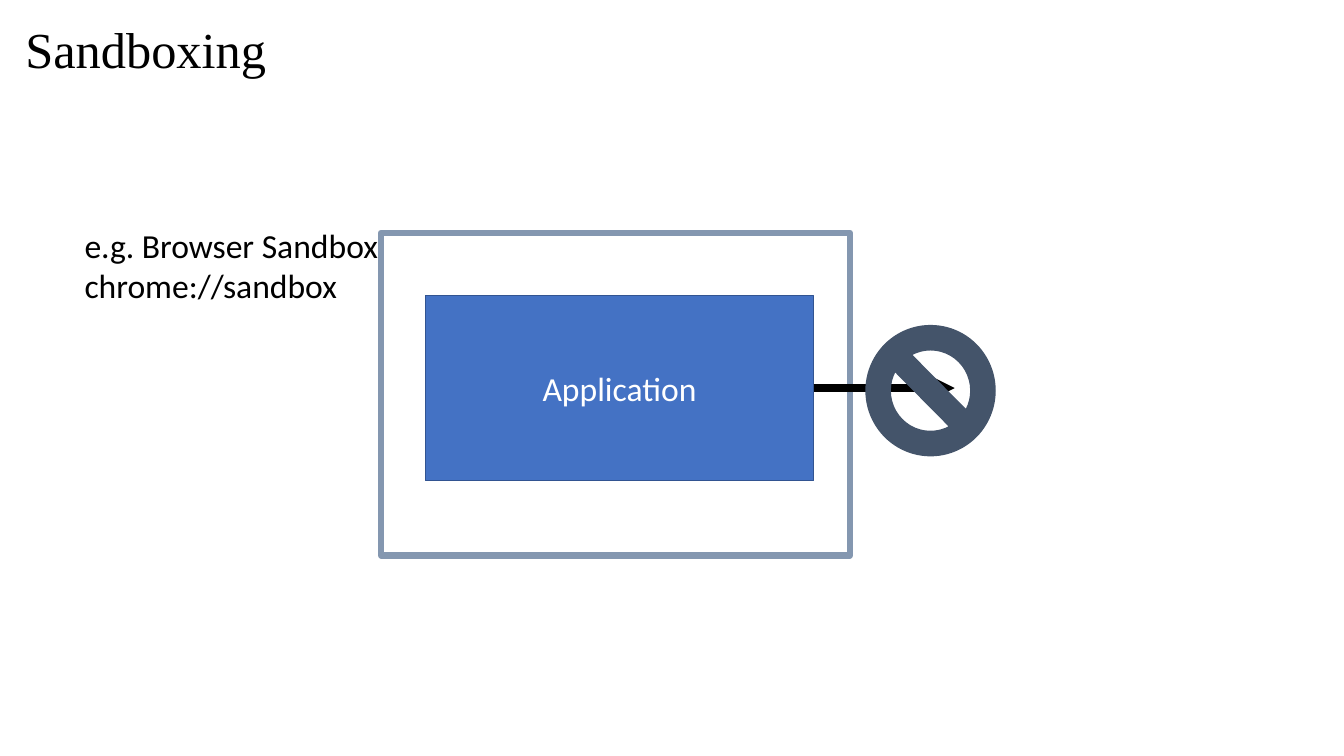
from dataclasses import dataclass

from lxml import etree
from pptx import Presentation
from pptx.dml.color import RGBColor
from pptx.enum.shapes import MSO_CONNECTOR, MSO_SHAPE
from pptx.enum.text import MSO_ANCHOR, MSO_AUTO_SIZE, PP_ALIGN
from pptx.oxml.ns import qn
from pptx.util import Inches, Pt

RECTANGLE = MSO_SHAPE.RECTANGLE
NO_SYMBOL = MSO_SHAPE.NO_SYMBOL
STRAIGHT = MSO_CONNECTOR.STRAIGHT
MIDDLE = MSO_ANCHOR.MIDDLE
TOP = MSO_ANCHOR.TOP
LEFT = PP_ALIGN.LEFT
CENTER = PP_ALIGN.CENTER
NO_RESIZE = MSO_AUTO_SIZE.NONE
GROW = MSO_AUTO_SIZE.SHAPE_TO_FIT_TEXT

BLACK = RGBColor(0x00, 0x00, 0x00)
WHITE = RGBColor(0xFF, 0xFF, 0xFF)
BLUE = RGBColor(0x44, 0x72, 0xC4)
DARK_BLUE = RGBColor(0x32, 0x54, 0x91)
GREY_BLUE = RGBColor(0x84, 0x97, 0xB0)
SLATE = RGBColor(0x44, 0x54, 0x6A)

SLIDE_WIDTH = Inches(13.33)
SLIDE_HEIGHT = Inches(7.5)
TITLE_ONLY = 5
RIGHT_SIDE = 3

TITLE_FONT = {"name": "Times New Roman", "size": Pt(36)}
BODY_FONT = {"name": "Calibri", "size": Pt(24)}


@dataclass(frozen=True)
class Area:
    """Percentages of the slide's width and height."""

    left: float
    top: float
    width: float
    height: float

    def lengths(self) -> tuple[int, int, int, int]:
        return (
            across(self.left),
            down(self.top),
            across(self.width),
            down(self.height),
        )


@dataclass(frozen=True)
class Block:
    preset: MSO_SHAPE
    area: Area
    fill: RGBColor | None
    line: RGBColor
    line_width: float


APPLICATION = Block(RECTANGLE, Area(31.66, 39.07, 28.88, 24.53), BLUE, DARK_BLUE, 1)
SANDBOX = Block(RECTANGLE, Area(28.36, 30.8, 34.88, 42.67), None, GREY_BLUE, 4.5)
BLOCKED_SIGN = Block(NO_SYMBOL, Area(64.44, 43.07, 9.6, 17.2), SLATE, SLATE, 1)
TITLE_AREA = Area(1.13, 0.8, 86.27, 12.13)
EXAMPLE_AREA = Area(5.55, 29.07, 23.56, 12.13)
ARROW_END = 71.04


def across(percent: float) -> int:
    return round(SLIDE_WIDTH * percent / 100)


def down(percent: float) -> int:
    return round(SLIDE_HEIGHT * percent / 100)


def place(shape, area: Area) -> None:
    names = ("left", "top", "width", "height")
    for name, value in zip(names, area.lengths()):
        setattr(shape, name, value)


def write(shape, lines, font, colour, align=LEFT, spacing=1.0, **frame_format) -> None:
    frame = shape.text_frame
    for name, value in frame_format.items():
        setattr(frame, name, value)
    for number, line in enumerate(lines):
        para = frame.add_paragraph() if number else frame.paragraphs[0]
        para.alignment = align
        para.line_spacing = spacing
        span = para.add_run()
        span.text = line
        for name, value in font.items():
            setattr(span.font, name, value)
        span.font.color.rgb = colour


def add_block(page, block: Block):
    shape = page.shapes.add_shape(block.preset, *block.area.lengths())
    shape.shadow.inherit = False
    if block.fill is None:
        shape.fill.background()
    else:
        shape.fill.solid()
        shape.fill.fore_color.rgb = block.fill
    shape.line.color.rgb = block.line
    shape.line.width = Pt(block.line_width)
    return shape


def add_exit_arrow(page, source) -> None:
    middle = source.top + source.height // 2
    arrow = page.shapes.add_connector(
        STRAIGHT, source.left + source.width, middle, across(ARROW_END), middle
    )
    arrow.begin_connect(source, RIGHT_SIDE)
    arrow.line.color.rgb = BLACK
    arrow.line.width = Pt(6)
    properties = arrow._element.spPr
    etree.SubElement(properties.find(qn("a:ln")), qn("a:tailEnd"), type="triangle")
    etree.SubElement(properties, qn("a:effectLst"))


def main() -> None:
    deck = Presentation()
    deck.slide_width = SLIDE_WIDTH
    deck.slide_height = SLIDE_HEIGHT
    page = deck.slides.add_slide(deck.slide_layouts[TITLE_ONLY])

    title = page.shapes.title
    place(title, TITLE_AREA)
    write(title, ["Sandboxing"], TITLE_FONT, BLACK, spacing=0.9,
          vertical_anchor=MIDDLE, word_wrap=True, auto_size=NO_RESIZE)

    application = add_block(page, APPLICATION)
    write(application, ["Application"], BODY_FONT, WHITE, CENTER,
          vertical_anchor=MIDDLE, word_wrap=True)
    add_block(page, SANDBOX)
    add_exit_arrow(page, application)
    add_block(page, BLOCKED_SIGN)

    example = page.shapes.add_textbox(*EXAMPLE_AREA.lengths())
    write(example, ["e.g. Browser Sandbox", "chrome://sandbox"], BODY_FONT, BLACK,
          vertical_anchor=TOP, word_wrap=False, auto_size=GROW)

    deck.save("out.pptx")


if __name__ == "__main__":
    main()
